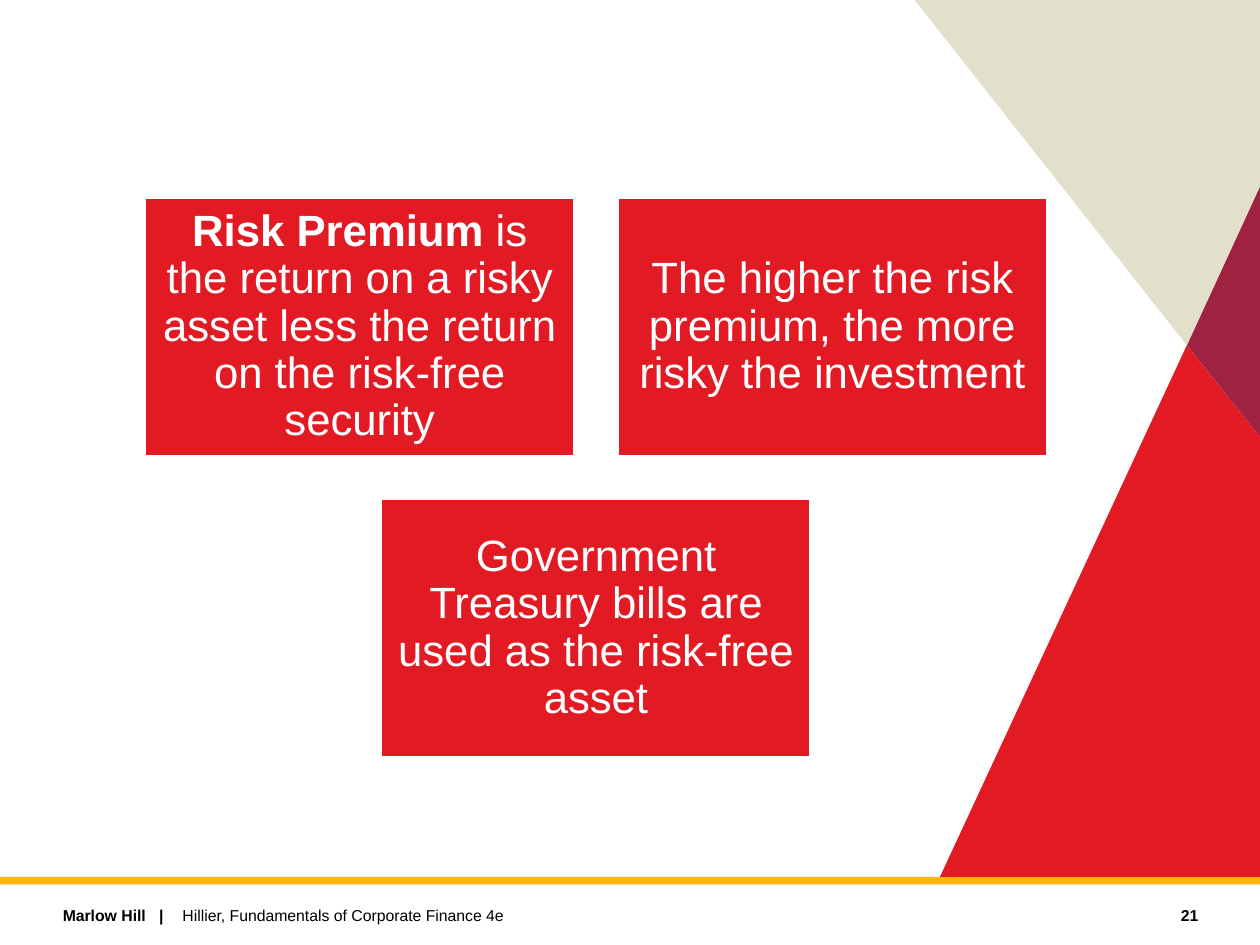
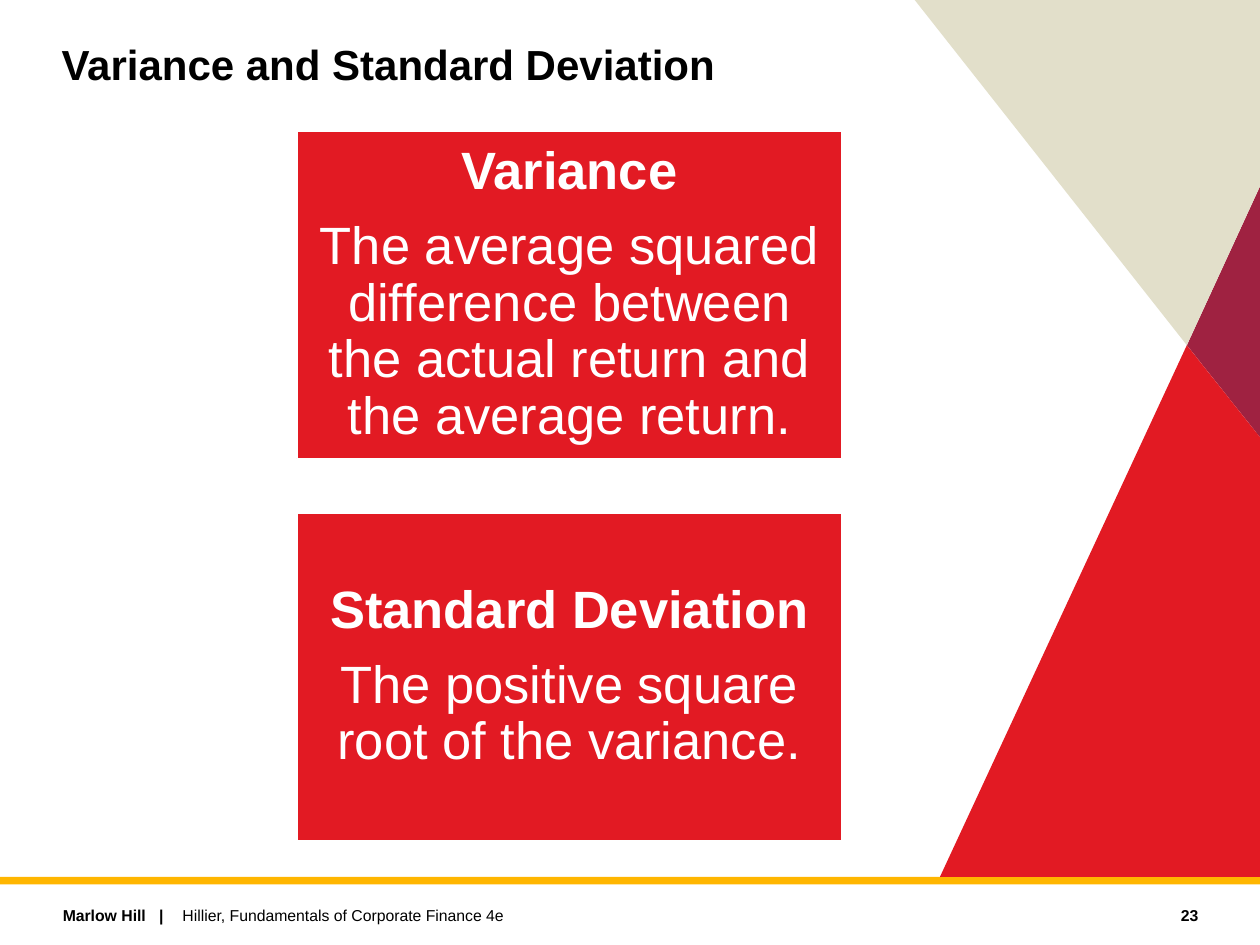
"""Build two finance slides: risk premium, and variance with deviation."""
from dataclasses import dataclass

from pptx import Presentation, util as u
from pptx.dml.color import RGBColor as Rgb
from pptx.enum import shapes, text


@dataclass(frozen=True)
class Theme:
    """Colours, font and type sizes shared by the slides."""
    red: str = "E21A23"
    plum: str = "9F2241"
    sand: str = "E2DFCA"
    gold: str = "FFB600"
    ink: str = "000000"
    white: str = "FFFFFF"
    font: str = "Arial"
    title: int = 24
    foot: int = 9
    lead: float = 0.9


LOOK = Theme()
MID, LEFT, RIGHT = text.PP_ALIGN.CENTER, text.PP_ALIGN.LEFT, text.PP_ALIGN.RIGHT
TOP, CENTRE = text.MSO_ANCHOR.TOP, text.MSO_ANCHOR.MIDDLE
FACETS = (
    (LOOK.plum, [(10, 1.48), (10, 3.47), (9.42, 2.74)]),
    (LOOK.sand, [(7.26, 0), (10, 0), (10, 1.48), (9.42, 2.74)]),
    (LOOK.red, [(10, 3.47), (10, 6.96), (7.46, 6.96), (9.42, 2.74)]),
)


def inch(spot):
    """Turn a run of inch values into lengths."""
    return [u.Inches(v) for v in spot]


def paint(shape, fill, edge=None, width=1):
    """Give a shape a flat fill and an optional outline."""
    shape.shadow.inherit = False
    shape.fill.solid()
    shape.fill.fore_color.rgb = Rgb.from_string(fill)
    if edge:
        shape.line.color.rgb = Rgb.from_string(edge)
        shape.line.width = u.Pt(width)
    else:
        shape.line.fill.background()


def style(font, size, color, bold):
    """Set the look of a run."""
    font.name, font.size, font.bold = LOOK.font, u.Pt(size), bold
    font.color.rgb = Rgb.from_string(color)


def label(slide, spot, words, size, bold=False, align=LEFT, anchor=CENTRE, lead=1.0):
    """Add a one-paragraph text box."""
    frame = slide.shapes.add_textbox(*inch(spot)).text_frame
    frame.word_wrap = True
    frame.vertical_anchor = anchor
    frame.text = words
    para = frame.paragraphs[0]
    para.alignment, para.line_spacing = align, lead
    style(para.runs[0].font, size, LOOK.ink, bold)


def facet(slide, color, points):
    """Draw one filled polygon of the side art."""
    grid = [(round(x * 100), round(y * 100)) for x, y in points]
    pen = slide.shapes.build_freeform(*grid[0], scale=u.Inches(0.01))
    pen.add_line_segments(grid[1:], close=True)
    paint(pen.convert_to_shape(), color)


def card(slide, spot, paras, size, inset, edge):
    """Add a red card; each paragraph is a list of (words, bold)."""
    box = slide.shapes.add_shape(shapes.MSO_SHAPE.RECTANGLE, *inch(spot))
    paint(box, LOOK.red, LOOK.white, edge)
    frame = box.text_frame
    frame.word_wrap = True
    frame.vertical_anchor = CENTRE
    frame.margin_left = frame.margin_right = u.Inches(inset)
    frame.margin_top = frame.margin_bottom = u.Inches(inset)
    for i, parts in enumerate(paras):
        para = frame.add_paragraph() if i else frame.paragraphs[0]
        para.alignment, para.line_spacing = MID, LOOK.lead
        if i < len(paras) - 1:
            para.space_after = u.Pt(size * 0.35)
        for words, bold in parts:
            run = para.add_run()
            run.text = words
            style(run.font, size, LOOK.white, bold)


def cards(slide, rows, axis, top, wide, high, size, inset, edge):
    """Lay out rows of cards, each row centred on one axis."""
    gap = wide / 10
    for r, row in enumerate(rows):
        left = axis - (len(row) * (wide + gap) - gap) / 2
        for c, paras in enumerate(row):
            spot = (left + c * (wide + gap), top + r * (high + gap), wide, high)
            card(slide, spot, paras, size, inset, edge)


def page(deck, number, title=None):
    """Start a slide with side art, gold band, footer and title."""
    slide = deck.slides.add_slide(deck.slide_layouts[6])
    band = slide.shapes.add_shape(shapes.MSO_SHAPE.RECTANGLE, *inch((0, 6.96, 10, 0.06)))
    paint(band, LOOK.gold)
    for color, points in FACETS:
        facet(slide, color, points)
    label(slide, (0.4, 7.14, 1.7, 0.25), "Marlow Hill   |", LOOK.foot, True, anchor=TOP)
    label(slide, (1.35, 7.14, 6, 0.25), "Hillier, Fundamentals of Corporate Finance 4e", LOOK.foot)
    label(slide, (8.56, 7.14, 1.05, 0.25), str(number), LOOK.foot, True, RIGHT)
    if title:
        label(slide, (0.39, 0.3, 7.5, 0.9), title, LOOK.title, True, anchor=TOP, lead=LOOK.lead)
    return slide


def main():
    """Build and save the deck."""
    deck = Presentation()
    deck.slide_width, deck.slide_height = inch((10, 7.5))

    risk = [
        [
            [[("Risk Premium ", True),
              ("is the return on a risky asset less the return on the risk-free security", False)]],
            [[("The higher the risk premium, the more risky the investment", False)]],
        ],
        [[[("Government Treasury bills are used as the risk-free asset", False)]]],
    ]
    cards(page(deck, 21), risk, axis=4.73, top=1.57, wide=3.41, high=2.05,
          size=25, inset=0.1, edge=1.5)

    terms = (
        ("Variance",
         "The average squared difference between the actual return and the average return."),
        ("Standard Deviation", "The positive square root of the variance."),
    )
    spread = [[[[(name, True)], [(sense, False)]]] for name, sense in terms]
    cards(page(deck, 23, "Variance and Standard Deviation"), spread, axis=4.52, top=1.04,
          wide=4.33, high=2.6, size=30, inset=0.12, edge=1)

    deck.save("out.pptx")


if __name__ == "__main__":
    main()
